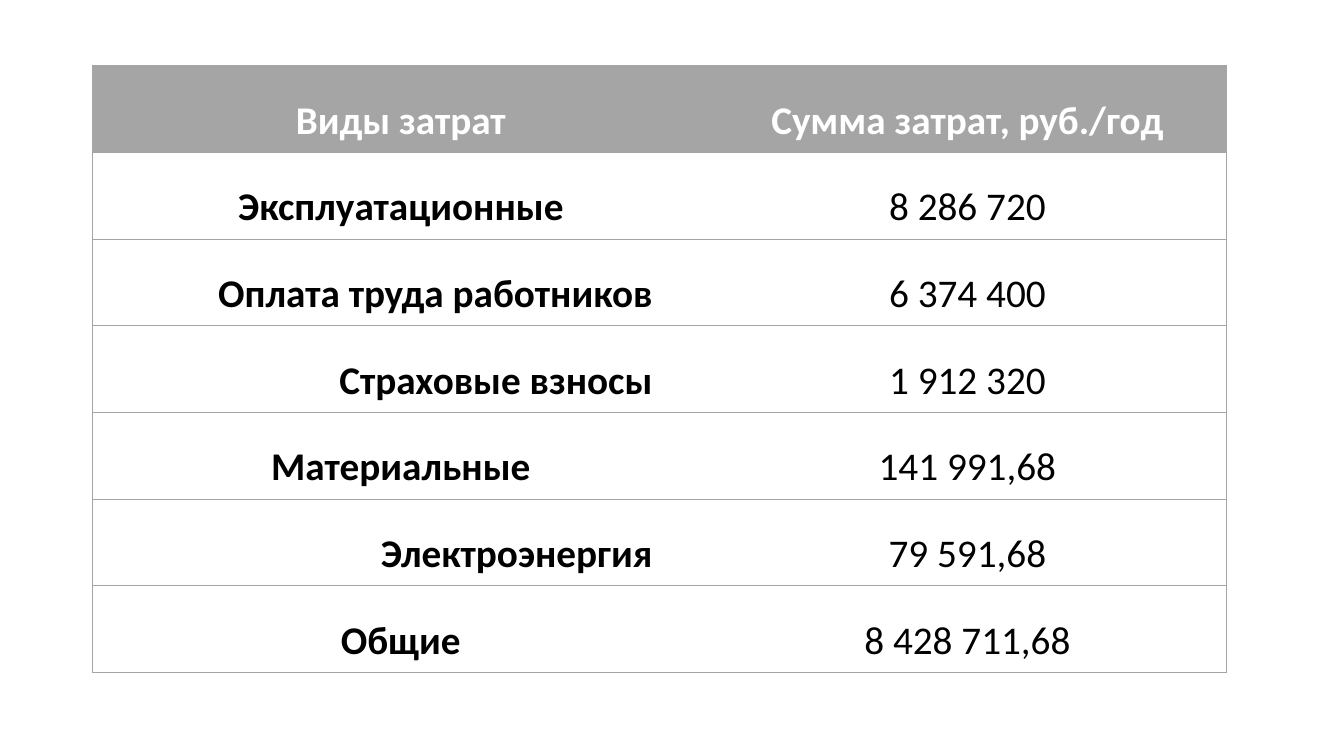
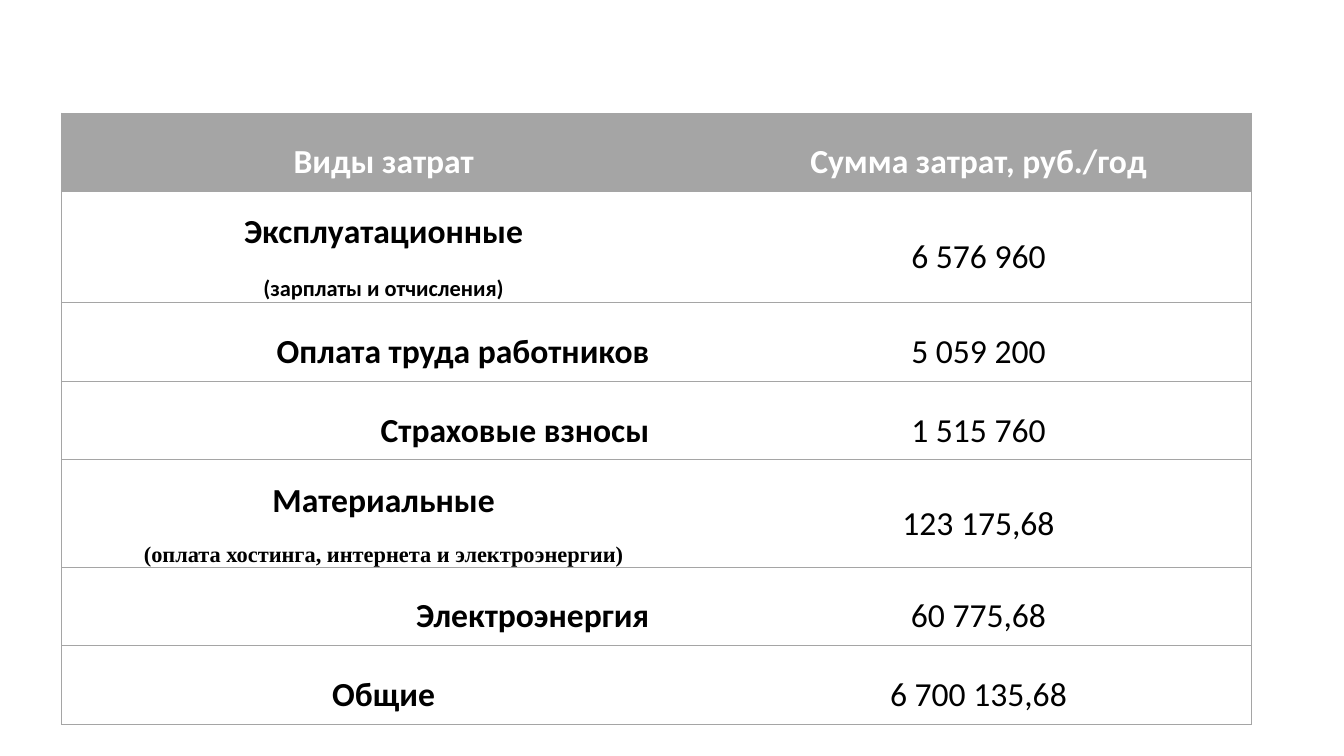
import pptx
import pptx.util
import pptx.dml.color
import pptx.enum.text
import pptx.oxml.ns
from lxml import etree

PX = 9144  # EMU in one px, 100 px to the inch
SLIDE_W, SLIDE_H = 1333, 750
COLORS = {"white": "FFFFFF", "gray": "A5A5A5", "black": "000000"}
FONT, NOTE_FONT = "Calibri", "Times New Roman"
INSET, INDENT = 7, 49
NOTE_SIZE = 16
BORDER_PT = 0.5

ALIGN = pptx.enum.text.PP_ALIGN
HEADER = ("Виды затрат", "Сумма затрат, руб./год")
DETAILS = {"Оплата труда работников", "Страховые взносы", "Электроэнергия"}

# Each row: cost type, amount, optional note and its font
TABLES = [
    {
        "left": 92, "top": 65, "col": 562, "row": 86, "size": 28,
        "rows": [
            ("Эксплуатационные", "8 286 720"),
            ("Оплата труда работников", "6 374 400"),
            ("Страховые взносы", "1 912 320"),
            ("Материальные", "141 991,68"),
            ("Электроэнергия", "79 591,68"),
            ("Общие", "8 428 711,68"),
        ],
    },
    {
        "left": 61, "top": 112, "col": 590, "row": 78, "size": 24,
        "rows": [
            ("Эксплуатационные", "6 576 960", "(зарплаты и отчисления)", FONT),
            ("Оплата труда работников", "5 059 200"),
            ("Страховые взносы", "1 515 760"),
            ("Материальные", "123 175,68",
             "(оплата хостинга, интернета и электроэнергии)", NOTE_FONT),
            ("Электроэнергия", "60 775,68"),
            ("Общие", "6 700 135,68"),
        ],
    },
]


def px(n):
    return pptx.util.Emu(n * PX)


def rgb(name):
    return pptx.dml.color.RGBColor.from_string(COLORS[name])


def write(p, text, *, size, font=FONT, color="black", bold=False, align=ALIGN.CENTER):
    p.alignment = align
    p.line_spacing = 1.5
    p.space_after = pptx.util.Pt(6)
    p._p.get_or_add_pPr().set("indent", str(px(INDENT)))
    r = p.add_run()
    r.text = text
    r.font.size = pptx.util.Pt(size)
    r.font.name = font
    r.font.bold = bold
    r.font.color.rgb = rgb(color)


def set_borders(cell, visible):
    """Draw the sides named in visible (letters of LRTB) and clear the others."""
    tc_pr = cell._tc.get_or_add_tcPr()
    qn = pptx.oxml.ns.qn
    for i, side in enumerate("LRTB"):
        ln = etree.Element(qn("a:ln" + side), w=str(pptx.util.Pt(BORDER_PT)))
        if side in visible:
            fill = etree.SubElement(ln, qn("a:solidFill"))
            etree.SubElement(fill, qn("a:srgbClr"), val=COLORS["gray"])
        else:
            etree.SubElement(ln, qn("a:noFill"))
        tc_pr.insert(i, ln)


def style_cell(cell, fill, borders):
    cell.fill.solid()
    cell.fill.fore_color.rgb = rgb(fill)
    cell.vertical_anchor = pptx.enum.text.MSO_ANCHOR.MIDDLE
    cell.margin_left = cell.margin_right = px(INSET)
    cell.margin_top = cell.margin_bottom = 0
    set_borders(cell, borders)


def add_cost_table(slide, data):
    n, size = len(data["rows"]) + 1, data["size"]
    table = slide.shapes.add_table(
        n, 2, px(data["left"]), px(data["top"]),
        px(2 * data["col"]), px(n * data["row"])).table
    for row in table.rows:
        row.height = px(data["row"])
        for cell, side in zip(row.cells, "LR"):
            style_cell(cell, "gray" if row is table.rows[0] else "white", side + "TB")

    for cell, text in zip(table.rows[0].cells, HEADER):
        cell.fill.fore_color.rgb = rgb("gray")
        write(cell.text_frame.paragraphs[0], text, size=size, color="white", bold=True)

    for i, (kind, amount, *note) in enumerate(data["rows"], 1):
        tf = table.cell(i, 0).text_frame
        align = ALIGN.RIGHT if kind in DETAILS else ALIGN.CENTER
        write(tf.paragraphs[0], kind, size=size, bold=True, align=align)
        if note:
            text, font = note
            write(tf.add_paragraph(), text, size=NOTE_SIZE, font=font, bold=True)
        write(table.cell(i, 1).text_frame.paragraphs[0], amount, size=size)


def main():
    prs = pptx.Presentation()
    prs.slide_width, prs.slide_height = px(SLIDE_W), px(SLIDE_H)
    for data in TABLES:
        add_cost_table(prs.slides.add_slide(prs.slide_layouts[6]), data)
    prs.save("out.pptx")


if __name__ == "__main__":
    main()
